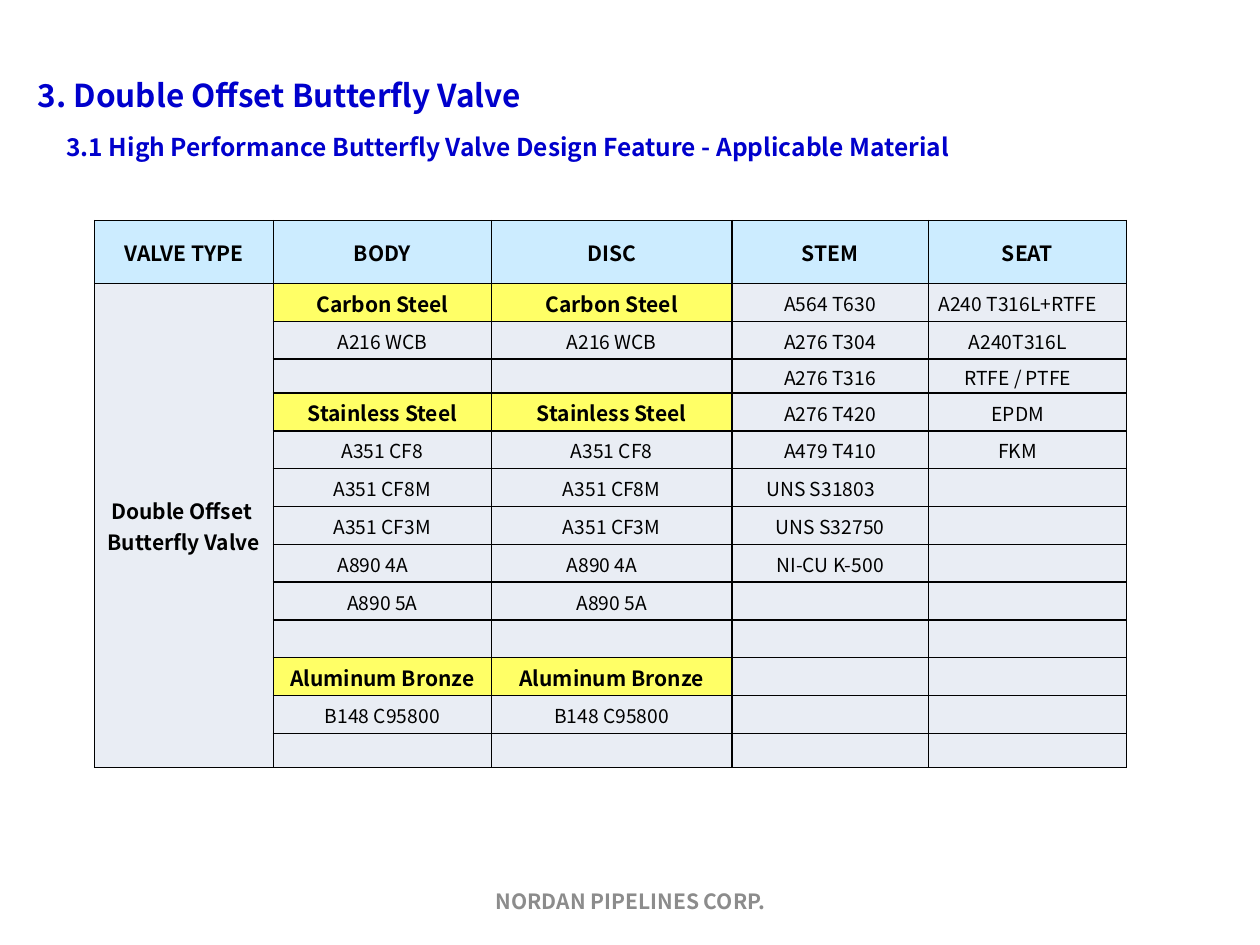
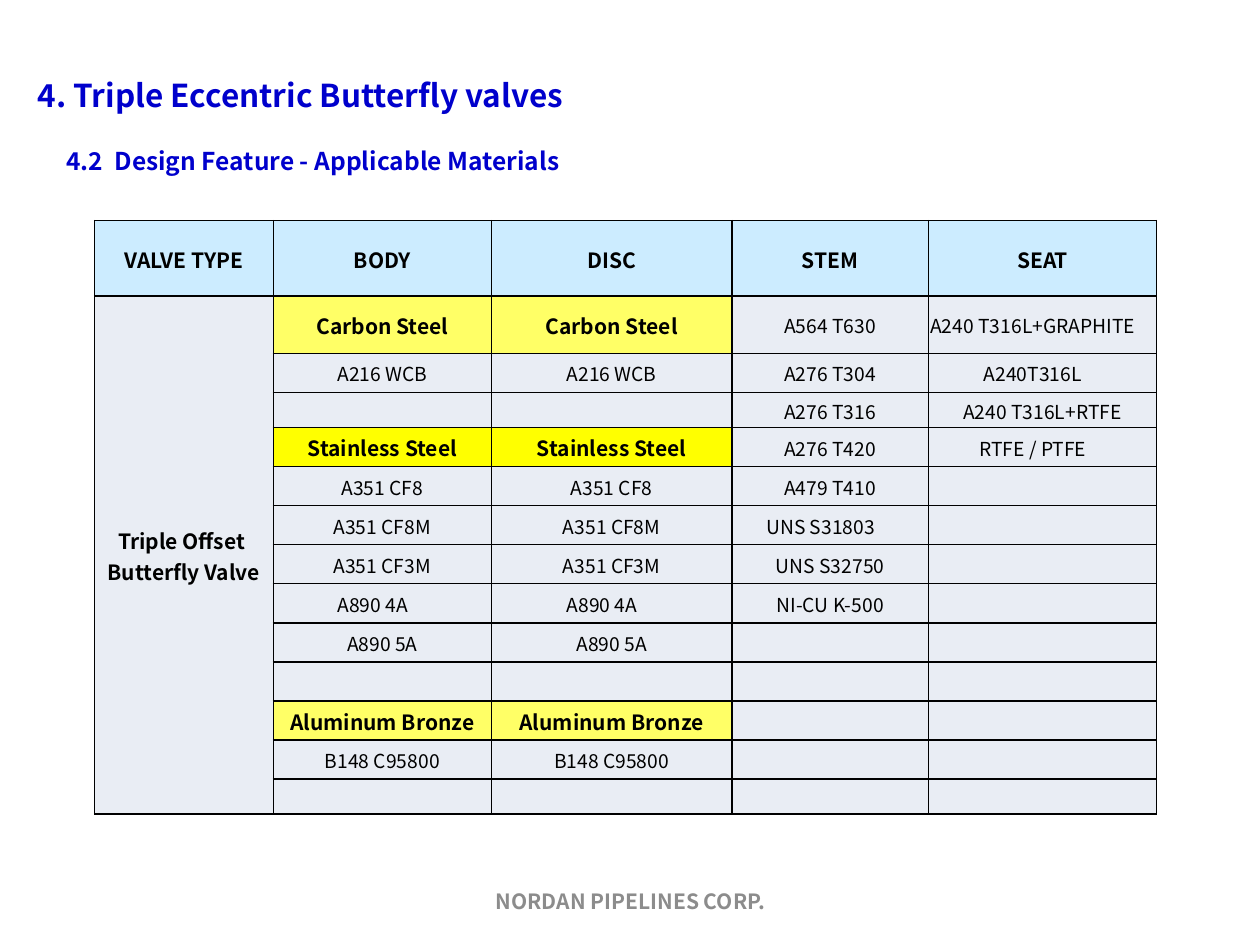
from itertools import zip_longest

from lxml.etree import SubElement
from pptx import Presentation
from pptx.dml.color import RGBColor
from pptx.enum.text import MSO_ANCHOR as Anchor, MSO_AUTO_SIZE as AutoSize, PP_ALIGN as Align
from pptx.oxml.ns import qn
from pptx.util import Inches, Pt

FONT = "Noto Sans CJK KR"
BLUE, GREY, BLACK = "0000CC", "8C8C8C", "000000"
HEADER_FILL, CELL_FILL = "CCECFF", "E9EDF4"
PALE_YELLOW, YELLOW = "FFFF66", "FFFF00"
FOOTER = "NORDAN PIPELINES CORP."

HEADINGS = ["VALVE TYPE", "BODY", "DISC", "STEM", "SEAT"]
MATERIAL_GROUPS = ["Carbon Steel", "Stainless Steel", "Aluminum Bronze"]
# Body and disc are made of the same materials.
MATERIALS = [
    "Carbon Steel", "A216 WCB", "",
    "Stainless Steel", "A351 CF8", "A351 CF8M", "A351 CF3M", "A890 4A　", "A890 5A", "",
    "Aluminum Bronze", "B148 C95800", "",
]
STEMS = ["A564 T630", "A276 T304", "A276 T316", "A276 T420", "A479 T410",
         "UNS S31803　", "UNS S32750", "NI-CU K-500"]
SHORT_ROWS = (3, 13)


def color(hex_string):
    return RGBColor.from_string(hex_string)


class Deck:
    """Holds the shared style and the slide being built."""

    def __init__(self):
        self.presentation = Presentation()
        self.presentation.slide_width = Inches(10)
        self.presentation.slide_height = Inches(7.5)
        self.slide = None

    def new_slide(self, title, subtitle, subtitle_top):
        layout = self.presentation.slide_layouts.get_by_name("Title Only")
        self.slide = self.presentation.slides.add_slide(layout)
        self.place_text(self.slide.shapes.title, (0.2, 0.44, 7.24, 0.63), title, 18, BLUE)
        self.text_box((0.43, subtitle_top, 7.24, 0.63), subtitle, 14, BLUE)
        self.text_box((3.42, 6.95, 3.17, 0.4), FOOTER, 12, GREY, Align.CENTER)

    def text_box(self, box, *text_style):
        self.place_text(self.slide.shapes.add_textbox(0, 0, 0, 0), box, *text_style)

    def place_text(self, shape, box, text, size, hex_string, align=Align.LEFT):
        shape.left, shape.top, shape.width, shape.height = map(Inches, box)
        frame = shape.text_frame
        frame.auto_size = AutoSize.NONE
        frame.word_wrap = True
        frame.vertical_anchor = Anchor.MIDDLE
        self.fill_paragraph(frame.paragraphs[0], text, size, hex_string, True, align)

    def fill_paragraph(self, paragraph, text, size, hex_string, bold, align):
        paragraph.alignment = align
        if not text:
            # An empty line would otherwise keep the default size and stretch its row.
            paragraph._p.get_or_add_endParaRPr().set("sz", str(size * 100))
            return
        run = paragraph.add_run()
        run.text = text
        font = run.font
        font.name, font.size, font.bold = FONT, Pt(size), bold
        font.color.rgb = color(hex_string)
        SubElement(run._r.get_or_add_rPr(), qn("a:ea"), typeface=FONT)

    def border(self, cell):
        properties = cell._tc.get_or_add_tcPr()
        for side in ("lnL", "lnR", "lnT", "lnB"):
            line = SubElement(properties, qn(f"a:{side}"), w=str(Pt(1)))
            fill = SubElement(line, qn("a:solidFill"))
            SubElement(fill, qn("a:srgbClr"), val=BLACK)

    def fill_cell(self, cell, text, fill, bold):
        self.border(cell)
        cell.fill.solid()
        cell.fill.fore_color.rgb = color(fill)
        cell.margin_left = cell.margin_right = cell.margin_top = Inches(0.01)
        cell.margin_bottom = 0
        cell.vertical_anchor = Anchor.MIDDLE
        frame = cell.text_frame
        for index, line in enumerate(text.split("\n")):
            paragraph = frame.add_paragraph() if index else frame.paragraphs[0]
            self.fill_paragraph(paragraph, line, 12 if bold else 11, BLACK, bold, Align.CENTER)

    def material_table(self, valve_type, seats, seat_width, row_heights, stainless_fill):
        """Row heights are given as header, normal and short."""
        header_height, normal_height, short_height = row_heights
        widths = [1.42, 1.73, 1.91, 1.56, seat_width]
        heights = [header_height] + [
            short_height if row in SHORT_ROWS else normal_height
            for row in range(1, len(MATERIALS) + 1)
        ]
        table = self.slide.shapes.add_table(
            len(heights), len(widths), Inches(0.75), Inches(1.75),
            Inches(sum(widths)), Inches(sum(heights))).table
        table.horz_banding = False
        for column, width in zip(table.columns, widths):
            column.width = Inches(width)
        for row, height in zip(table.rows, heights):
            row.height = Inches(height)

        group_fills = dict.fromkeys(MATERIAL_GROUPS, PALE_YELLOW)
        group_fills["Stainless Steel"] = stainless_fill
        body_rows = zip_longest([valve_type], MATERIALS, MATERIALS, STEMS, seats, fillvalue="")
        for row, texts in enumerate([HEADINGS, *body_rows]):
            for column, text in enumerate(texts):
                fill = group_fills.get(text, CELL_FILL) if row else HEADER_FILL
                bold = row == 0 or column == 0 or text in MATERIAL_GROUPS
                self.fill_cell(table.cell(row, column), text, fill, bold)
        table.cell(1, 0).merge(table.cell(len(MATERIALS), 0))


def main():
    deck = Deck()

    deck.new_slide("3. Double Offset Butterfly Valve",
                   "3.1 High Performance Butterfly Valve Design Feature - Applicable Material",
                   subtitle_top=0.85)
    deck.material_table(
        "Double Offset \nButterfly Valve",
        ["A240 T316L+RTFE　", "A240T316L　", "RTFE / PTFE　", "EPDM　", "FKM　"],
        seat_width=1.57, row_heights=(0.5, 0.3, 0.27), stainless_fill=PALE_YELLOW)

    deck.new_slide("4. Triple Eccentric Butterfly valves",
                   "4.2  Design Feature - Applicable Materials",
                   subtitle_top=0.96)
    deck.material_table(
        "Triple Offset \nButterfly Valve",
        ["A240 T316L+GRAPHITE　", "A240T316L　", "A240 T316L+RTFE", "RTFE / PTFE　"],
        seat_width=1.81, row_heights=(0.6, 0.31, 0.28), stainless_fill=YELLOW)

    deck.presentation.save("out.pptx")


if __name__ == "__main__":
    main()
